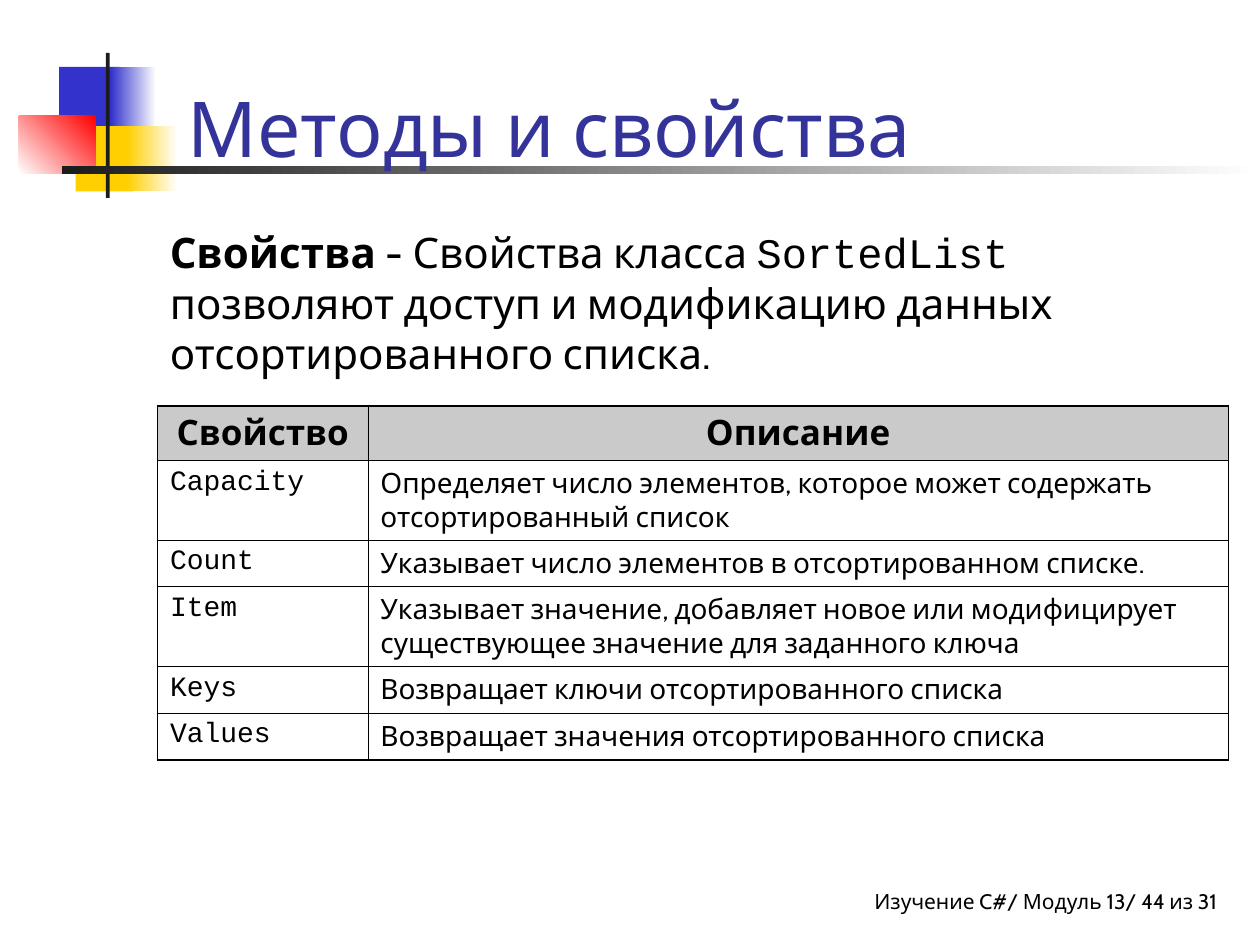
from lxml import etree
from pptx import Presentation
from pptx import util as u
from pptx.dml.color import RGBColor
from pptx.enum import shapes, text
from pptx.oxml import ns

color = RGBColor.from_string
BODY, CODE = "Cabin", "Courier New"
INK = "000000"

prs = Presentation()
prs.slide_width, prs.slide_height = u.Inches(10), u.Inches(7.5)
cell_size = prs.slide_width // 100  # grid of 100 columns by 75 rows
slide = prs.slides.add_slide(prs.slide_layouts[6])


def on_grid(*lengths):
    return [int(n * cell_size) for n in lengths]


def write(frame, *runs, size, ink=INK, align="LEFT", anchor="TOP", before=0):
    """Fill a frame with one paragraph of (text, font, bold) runs."""
    frame.word_wrap = True
    frame.vertical_anchor = text.MSO_ANCHOR[anchor]
    paragraph = frame.paragraphs[0]
    paragraph.alignment = text.PP_ALIGN[align]
    paragraph.space_before = u.Pt(before)
    for words, font, bold in runs:
        run = paragraph.add_run()
        run.text = words
        run.font.name, run.font.size, run.font.bold = font, u.Pt(size), bold
        run.font.color.rgb = color(ink)


# Footer
footer = slide.shapes.add_textbox(*on_grid(45.8, 70, 50.8, 3.3)).text_frame
footer.margin_right = 0
write(footer, ("Изучение C#/ Модуль 13/ 44 из 31", BODY, False), size=12, align="RIGHT")

# Ornament of coloured blocks and bars: place, fill colours, gradient angle
ornament = [
    ((4.7, 5.3, 4.8, 5.2), ["3333CC"], 0),
    ((8.8, 5.3, 3.6, 5.2), ["3333CC", "FFFFFF"], 0),
    ((6, 10, 4.6, 5.2), ["FFCF01"], 0),
    ((10.1, 10, 4, 5.2), ["FFCF01", "FFFFFF"], 0),
    ((1.5, 9.2, 6.1, 4.6), ["FFFFFF", "FF0000"], 45),
    ((8.4, 4.2, 0.3, 11.5), ["1C1C1C"], 0),
    ((4.9, 13.2, 95.1, 0.6), ["1C1C1C", "FFFFFF"], 0),
]
for place, hues, angle in ornament:
    block = slide.shapes.add_shape(shapes.MSO_SHAPE.RECTANGLE, *on_grid(*place))
    block.shadow.inherit = False
    block.line.fill.background()
    if len(hues) == 1:
        block.fill.solid()
        block.fill.fore_color.rgb = color(hues[0])
    else:
        block.fill.gradient()
        block.fill.gradient_angle = angle
        for stop, hue in zip(block.fill.gradient_stops, hues):
            stop.color.rgb = color(hue)

# Introduction
intro = slide.shapes.add_textbox(*on_grid(12.5, 17.5, 85, 50.8)).text_frame
write(intro,
      ("Свойства", BODY, True),
      (" - Свойства класса ", BODY, False),
      ("SortedList", CODE, False),
      (" позволяют доступ и модификацию данных отсортированного списка.", BODY, False),
      size=24, before=6)

# Title
title = slide.shapes.add_textbox(*on_grid(13.9, 1.7, 85.2, 12.5)).text_frame
write(title, ("Методы и свойства", BODY, False), size=44, ink="333399", anchor="BOTTOM")

# Table of properties
properties = [
    ("Свойство", "Описание"),
    ("Capacity", "Определяет число элементов, которое может содержать отсортированный список"),
    ("Count", "Указывает число элементов в отсортированном списке."),
    ("Item", "Указывает значение, добавляет новое или модифицирует существующее значение для заданного ключа"),
    ("Keys", "Возвращает ключи отсортированного списка"),
    ("Values", "Возвращает значения отсортированного списка"),
]
last = len(properties) - 1
table = slide.shapes.add_table(len(properties), 2, *on_grid(12.5, 32.2, 85, 28)).table
table.first_row = table.horz_banding = False
for column, width in zip(table.columns, on_grid(16.7, 68.3)):
    column.width = width
for row, height in zip(table.rows, on_grid(4.3, 6.3, 3.7, 6.3, 3.7, 3.7)):
    row.height = height

for r, entry in enumerate(properties):
    for c, words in enumerate(entry):
        cell = table.cell(r, c)
        if r == 0:
            write(cell.text_frame, (words, BODY, True), size=20, align="CENTER", before=5)
            cell.fill.solid()
            cell.fill.fore_color.rgb = color("969696")
        else:
            write(cell.text_frame, (words, BODY if c else CODE, False), size=16, before=4)
            cell.fill.background()

        # Half-transparent header fill, thick outer and thin inner borders
        props = cell._tc.get_or_add_tcPr()
        for shade in props.iter(ns.qn("a:srgbClr")):
            etree.SubElement(shade, ns.qn("a:alpha"), val="50000")
        outer = {"L": c == 0, "R": c == 1, "T": r == 0, "B": r == last}
        for i, (side, is_outer) in enumerate(outer.items()):
            border = etree.Element(ns.qn("a:ln" + side), w=str(u.Pt(1.08 if is_outer else 0.45)))
            paint = etree.SubElement(border, ns.qn("a:solidFill"))
            etree.SubElement(paint, ns.qn("a:srgbClr"), val=INK)
            props.insert(i, border)

prs.save("out.pptx")
